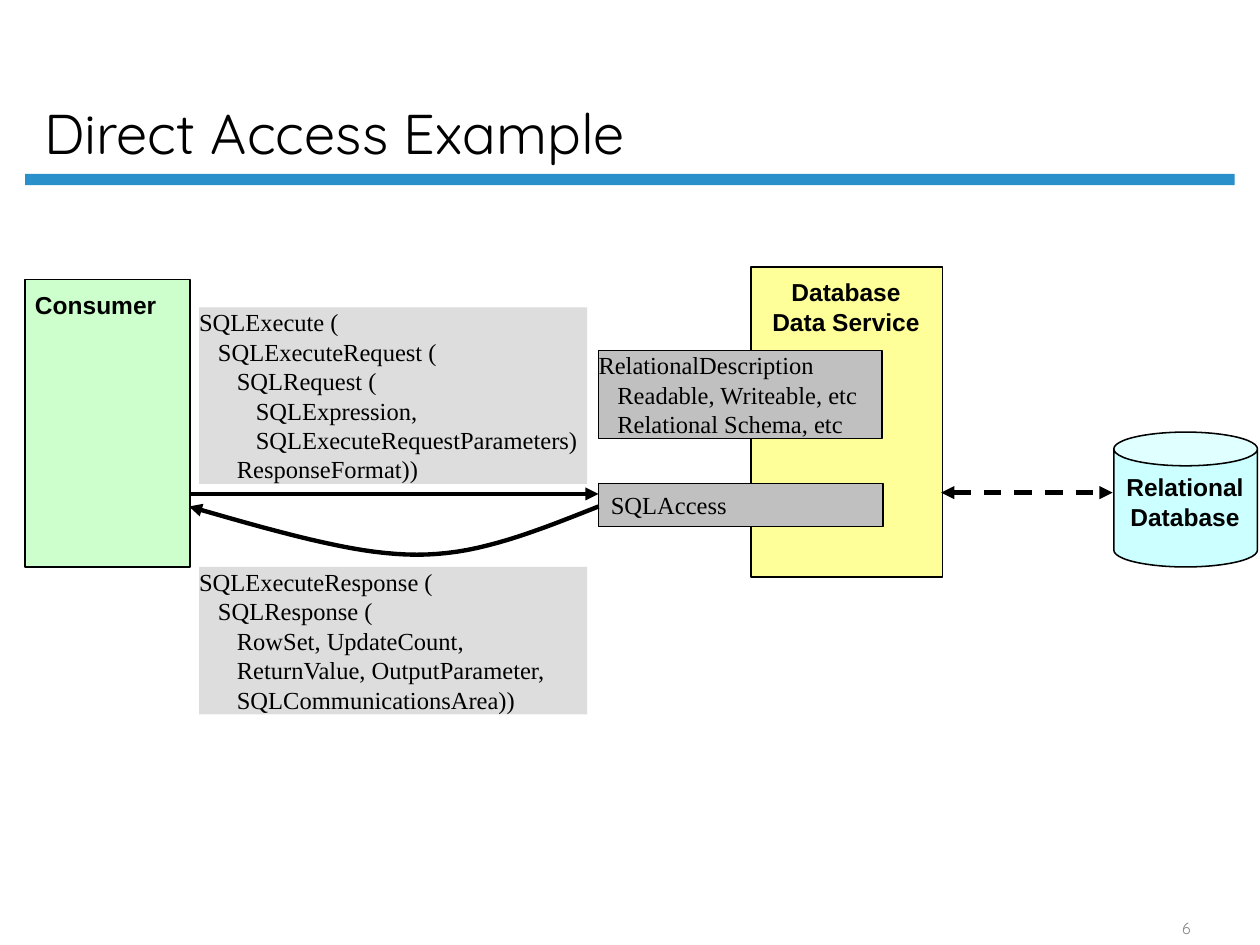
from dataclasses import dataclass

from lxml.etree import SubElement
from pptx import Presentation
from pptx.dml.color import RGBColor
from pptx.enum.dml import MSO_LINE_DASH_STYLE as Dash
from pptx.enum.shapes import MSO_CONNECTOR as Connector, MSO_SHAPE as Preset
from pptx.enum.text import MSO_ANCHOR as Anchor, PP_ALIGN as Align
from pptx.oxml.ns import qn
from pptx.util import Inches, Pt


@dataclass(frozen=True)
class Theme:
    ink: str = "000000"
    rule: str = "2990CA"
    page_number: str = "848589"
    consumer: str = "CCFFCC"
    service: str = "FFFF99"
    database: str = "CCFFFF"
    message: str = "DDDDDD"
    interface: str = "C0C0C0"
    heading_font: str = "Quicksand"
    label_font: str = "Arial"
    code_font: str = "Times New Roman"
    title_size: float = 32
    body_size: float = 14
    number_size: float = 9
    outline: float = 0.88
    thin_outline: float = 0.75
    arrow: float = 2.5
    indent: float = 0.15


THEME = Theme()


@dataclass(frozen=True)
class Area:
    left: float
    top: float
    width: float
    height: float

    def emu(self) -> tuple:
        return tuple(map(Inches, (self.left, self.top, self.width, self.height)))


@dataclass(frozen=True)
class Block:
    area: Area
    fill: str
    outline: float = 0
    preset: Preset = Preset.RECTANGLE


@dataclass(frozen=True)
class CodeBlock:
    """A filled box whose lines are (indent level, wording) pairs."""
    block: Block
    lines: tuple
    inset: tuple = (0, 0)


@dataclass(frozen=True)
class Label:
    area: Area
    lines: tuple


BLOCKS = (
    Block(Area(0.2, 1.38, 9.6, 0.09), THEME.rule),
    Block(Area(0.2, 2.22, 1.31, 2.28), THEME.consumer, THEME.outline),
    Block(Area(5.96, 2.12, 1.52, 2.46), THEME.service, THEME.outline),
    Block(Area(8.84, 3.43, 1.14, 1.07), THEME.database, THEME.outline, Preset.CAN),
)

LABELS = (
    Label(Area(0.23, 2.3, 1.06, 0.23), ("Consumer",)),
    Label(Area(6.08, 2.2, 1.27, 0.47), ("Database", "Data Service")),
    Label(Area(8.89, 3.75, 1.03, 0.47), ("Relational", "Database")),
)

CODE_BLOCKS = (
    CodeBlock(Block(Area(1.58, 2.44, 3.08, 1.4), THEME.message), (
        (0, "SQLExecute ("),
        (1, "SQLExecuteRequest ("),
        (2, "SQLRequest ("),
        (3, "SQLExpression,"),
        (3, "SQLExecuteRequestParameters)"),
        (2, "ResponseFormat))"),
    )),
    CodeBlock(Block(Area(1.58, 4.5, 3.08, 1.17), THEME.message), (
        (0, "SQLExecuteResponse ("),
        (1, "SQLResponse ("),
        (2, "RowSet, UpdateCount,"),
        (2, "ReturnValue, OutputParameter,"),
        (2, "SQLCommunicationsArea))"),
    )),
    CodeBlock(Block(Area(4.75, 2.78, 2.25, 0.7), THEME.interface, THEME.thin_outline), (
        (0, "RelationalDescription"),
        (1, "Readable, Writeable, etc"),
        (1, "Relational Schema, etc"),
    )),
    CodeBlock(Block(Area(4.75, 3.84, 2.26, 0.34), THEME.interface, THEME.thin_outline),
              ((0, "SQLAccess"),), inset=(0.1, 0.05)),
)

RESPONSE_CURVE = ((4.75, 4.02), (3.48, 4.53), (3.26, 4.53), (1.5, 4.02))


def rgb(value: str) -> RGBColor:
    return RGBColor.from_string(value)


def write_text(shape, lines, *, font=THEME.label_font, size=THEME.body_size,
               color=THEME.ink, bold=False, align=Align.LEFT, anchor=Anchor.TOP,
               inset=(0, 0), spacing=1.0) -> None:
    """Fill a shape with (indent level, wording) lines in one format."""
    frame = shape.text_frame
    frame.word_wrap = True
    frame.vertical_anchor = anchor
    frame.margin_left = frame.margin_right = Inches(inset[0])
    frame.margin_top = frame.margin_bottom = Inches(inset[1])
    for index, (level, wording) in enumerate(lines):
        para = frame.add_paragraph() if index else frame.paragraphs[0]
        para.alignment = align
        para.line_spacing = spacing
        if level:
            para._p.get_or_add_pPr().set("marL", str(Inches(level * THEME.indent)))
        span = para.add_run()
        span.text = wording
        span.font.name, span.font.size, span.font.bold = font, Pt(size), bold
        span.font.color.rgb = rgb(color)


def draw_block(page, block: Block):
    box = page.shapes.add_shape(block.preset, *block.area.emu())
    box.shadow.inherit = False
    box.fill.solid()
    box.fill.fore_color.rgb = rgb(block.fill)
    if block.outline:
        box.line.color.rgb = rgb(THEME.ink)
        box.line.width = Pt(block.outline)
    else:
        box.line.fill.background()
    return box


def style_arrow(shape, *ends: str) -> None:
    """Give a line its weight and a triangle at each named end."""
    shape.line.color.rgb = rgb(THEME.ink)
    shape.line.width = Pt(THEME.arrow)
    for end in ends:
        SubElement(shape.line._get_or_add_ln(), qn(f"a:{end}"), type="triangle")


def draw_straight_arrow(page, start: tuple, finish: tuple, *ends: str, dash=None) -> None:
    arrow = page.shapes.add_connector(Connector.STRAIGHT, *map(Inches, start + finish))
    if dash:
        arrow.line.dash_style = dash
    style_arrow(arrow, *ends)
    SubElement(arrow._element.spPr, qn("a:effectLst"))


def bezier_point(controls: tuple, t: float) -> tuple:
    weights = ((1 - t) ** 3, 3 * t * (1 - t) ** 2, 3 * t ** 2 * (1 - t), t ** 3)
    return tuple(Inches(sum(w * value for w, value in zip(weights, axis)))
                 for axis in zip(*controls))


def draw_curved_arrow(page, controls: tuple, steps: int = 32) -> None:
    points = [bezier_point(controls, step / steps) for step in range(steps + 1)]
    builder = page.shapes.build_freeform(*points[0])
    builder.add_line_segments(points[1:], close=False)
    curve = builder.convert_to_shape()
    curve.shadow.inherit = False
    curve.fill.background()
    style_arrow(curve, "tailEnd")


def main() -> None:
    deck = Presentation()
    deck.slide_width, deck.slide_height = Inches(10), Inches(7.5)
    page = deck.slides.add_slide(deck.slide_layouts[5])

    title = page.shapes.title
    title.left, title.top, title.width, title.height = Area(0.25, 0.12, 8.56, 1.25).emu()
    write_text(title, [(0, "Direct Access Example")], font=THEME.heading_font,
               size=THEME.title_size, anchor=Anchor.BOTTOM, inset=(0.1, 0.05), spacing=0.9)

    for block in BLOCKS:
        draw_block(page, block)
    for label in LABELS:
        write_text(page.shapes.add_textbox(*label.area.emu()),
                   [(0, wording) for wording in label.lines],
                   bold=True, align=Align.CENTER)
    for code in CODE_BLOCKS:
        write_text(draw_block(page, code.block), code.lines,
                   font=THEME.code_font, inset=code.inset)

    draw_straight_arrow(page, (1.5, 3.92), (4.75, 3.92), "tailEnd")
    draw_curved_arrow(page, RESPONSE_CURVE)
    draw_straight_arrow(page, (7.47, 3.91), (8.83, 3.91), "headEnd", "tailEnd",
                        dash=Dash.DASH)

    number = page.shapes.add_textbox(*Area(9, 7.25, 0.83, 0.24).emu())
    write_text(number, [(0, "6")], font=THEME.heading_font, size=THEME.number_size,
               color=THEME.page_number, align=Align.CENTER, anchor=Anchor.BOTTOM,
               inset=(0.1, 0.05))
    deck.save("out.pptx")


if __name__ == "__main__":
    main()
